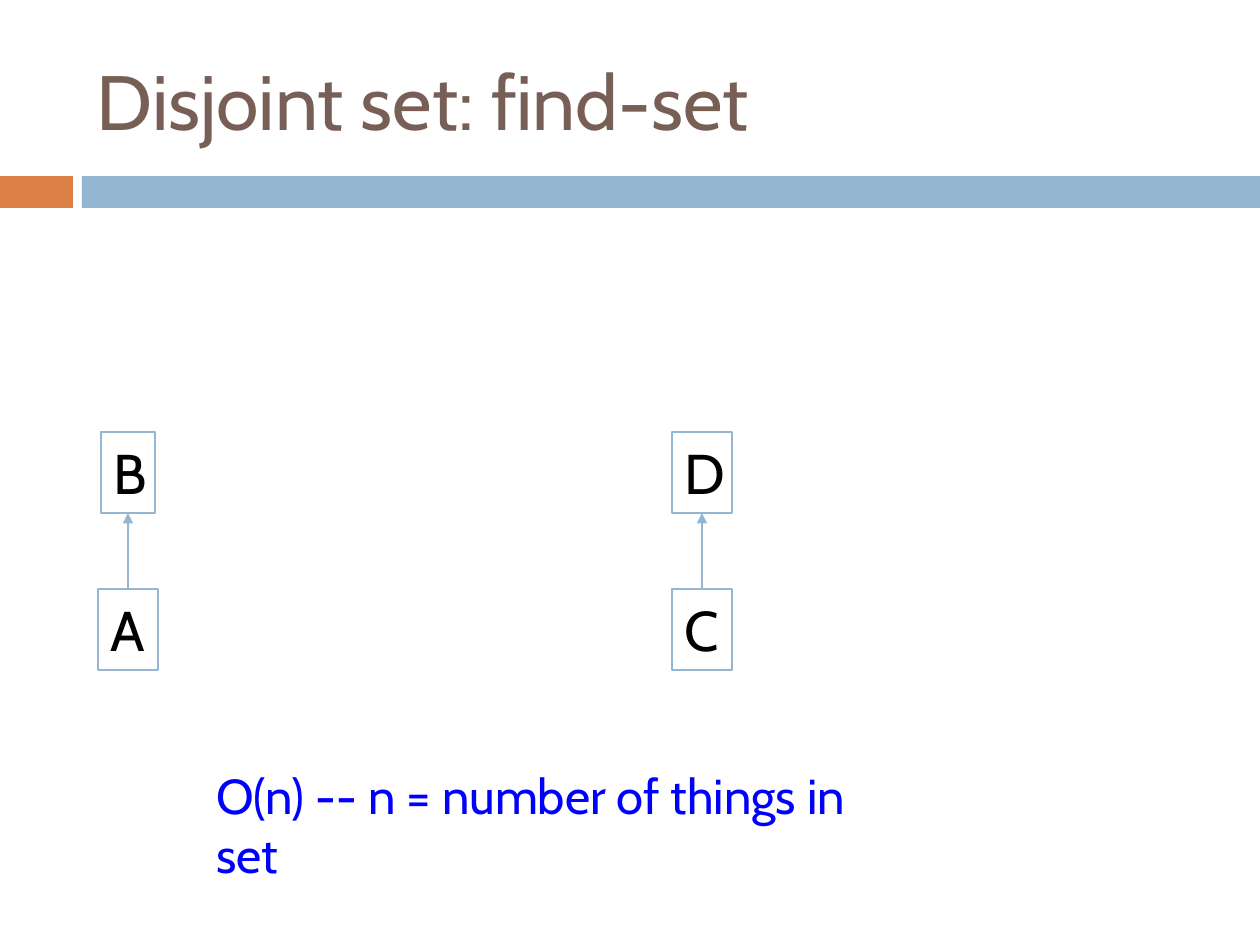
import pptx
import pptx.dml.color
import pptx.enum.shapes
import pptx.enum.text
import pptx.oxml
import pptx.oxml.ns
import pptx.util

EMU_PER_PX = 914400 / 126
FONT = "Cabin"
BLUE = "94B6D2"


def px(length):
    """Turn pixels into EMU."""
    return pptx.util.Emu(round(length * EMU_PER_PX))


def color(value):
    """Turn a hex string into a colour."""
    return pptx.dml.color.RGBColor.from_string(value)


def set_text(shape, text, size, text_color, anchor, wrap=True):
    """Write one left-aligned paragraph into a shape and format it."""
    frame = shape.text_frame
    frame.text = text
    frame.word_wrap = wrap
    frame.auto_size = pptx.enum.text.MSO_AUTO_SIZE.NONE
    frame.vertical_anchor = anchor
    paragraph = frame.paragraphs[0]
    paragraph.alignment = pptx.enum.text.PP_ALIGN.LEFT
    font = paragraph.runs[0].font
    font.name = FONT
    font.size = pptx.util.Pt(size)
    font.color.rgb = color(text_color)


def add_title(slide, text):
    """Place and fill the title placeholder."""
    title = slide.shapes.title
    title.left, title.top, title.width, title.height = map(px, (84, 32, 1124, 136))
    set_text(title, text, 44, "775F55", pptx.enum.text.MSO_ANCHOR.MIDDLE)


def add_rectangle(slide, left, top, width, height):
    """Add a rectangle without fill, line or shadow."""
    shape = slide.shapes.add_shape(
        pptx.enum.shapes.MSO_SHAPE.RECTANGLE, *map(px, (left, top, width, height)))
    shape.shadow.inherit = False
    shape.fill.background()
    shape.line.fill.background()
    return shape


def add_bar(slide, left, width, fill):
    """Add one part of the band under the title."""
    bar = add_rectangle(slide, left, 176, width, 32)
    bar.fill.solid()
    bar.fill.fore_color.rgb = color(fill)


def add_node(slide, letter, center, top, width):
    """Add an outlined box that holds one set element."""
    node = add_rectangle(slide, center - width / 2, top, width, 81)
    node.line.color.rgb = color(BLUE)
    node.line.width = pptx.util.Pt(0.75)
    set_text(node, letter, 32, "000000", pptx.enum.text.MSO_ANCHOR.TOP, wrap=False)
    return node


def add_arrow(slide, child, parent):
    """Join the top of the child to the bottom of its parent."""
    arrow = slide.shapes.add_connector(
        pptx.enum.shapes.MSO_CONNECTOR.STRAIGHT, 0, 0, 0, 0)
    arrow.begin_connect(child, 0)
    arrow.end_connect(parent, 2)
    arrow.line.color.rgb = color(BLUE)
    arrow.line.width = pptx.util.Pt(1.5)
    namespace = pptx.oxml.ns.nsdecls("a")
    arrow.line._get_or_add_ln().append(
        pptx.oxml.parse_xml(f'<a:tailEnd {namespace} type="triangle"/>'))
    arrow._element.spPr.append(pptx.oxml.parse_xml(f"<a:effectLst {namespace}/>"))


def add_tree(slide, center, parent, child, parent_width):
    """Add a parent, its child and the arrow between them."""
    parent_node = add_node(slide, parent, center, 432, parent_width)
    child_node = add_node(slide, child, center, 589, 60)
    add_arrow(slide, child_node, parent_node)


def add_note(slide, text):
    """Add the running time below the trees."""
    note = slide.shapes.add_textbox(*map(px, (204, 759, 696, 72)))
    set_text(note, text, 28, "0000FF", pptx.enum.text.MSO_ANCHOR.TOP)


def main():
    """Build the slide and save it."""
    presentation = pptx.Presentation()
    presentation.slide_width = px(1260)
    presentation.slide_height = px(945)
    slide = presentation.slides.add_slide(presentation.slide_layouts[5])
    add_bar(slide, 0, 73, "DD8047")
    add_bar(slide, 82, 1178, BLUE)
    add_title(slide, "Disjoint set: find-set")
    add_tree(slide, 128, "B", "A", 54)
    add_tree(slide, 702, "D", "C", 60)
    add_note(slide, "O(n) -- n = number of things in set")
    presentation.save("out.pptx")


if __name__ == "__main__":
    main()
